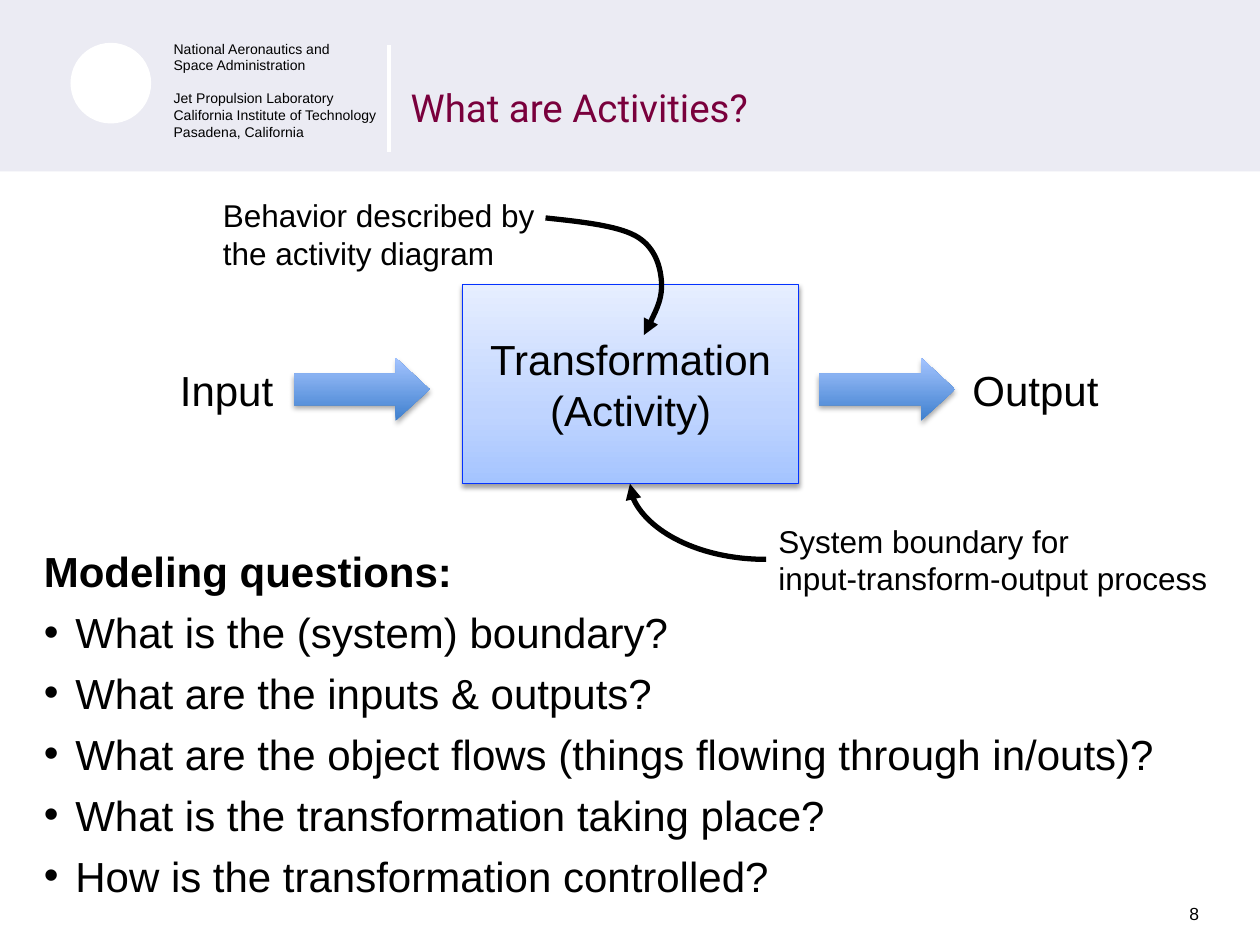
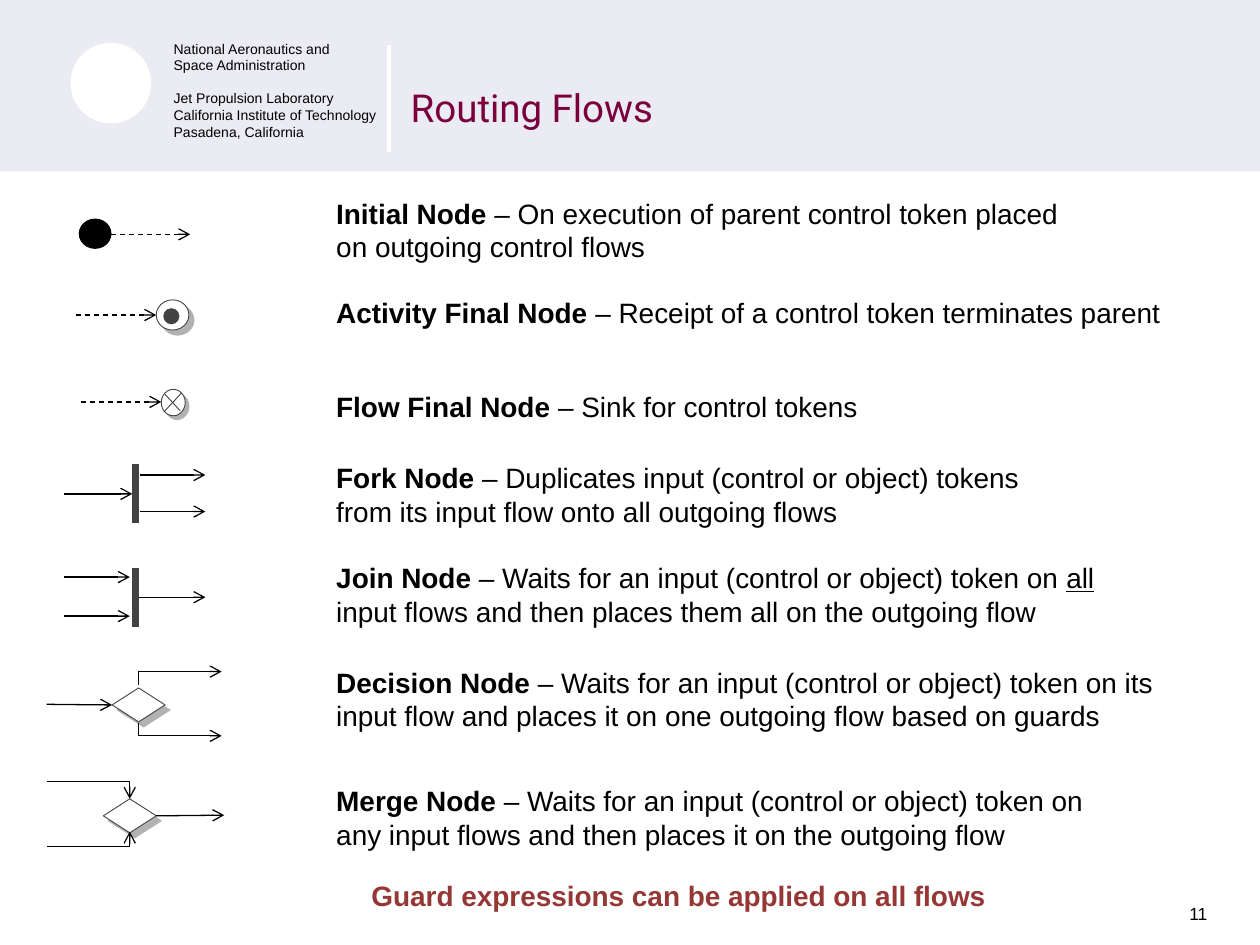
"""Builds two slides about activity diagrams: what activities are, and how flows are routed."""
from dataclasses import dataclass
from typing import Any, Optional, Sequence

from lxml import etree
from pptx import Presentation
from pptx.dml.color import RGBColor
from pptx.enum.dml import MSO_LINE
from pptx.enum.shapes import MSO_CONNECTOR, MSO_SHAPE
from pptx.enum.text import MSO_ANCHOR, MSO_AUTO_SIZE, PP_ALIGN
from pptx.oxml.ns import qn
from pptx.util import Inches, Pt

RECTANGLE, ELLIPSE, DIAMOND = MSO_SHAPE.RECTANGLE, MSO_SHAPE.OVAL, MSO_SHAPE.DIAMOND
RIGHT_ARROW = MSO_SHAPE.RIGHT_ARROW
STRAIGHT, CURVE = MSO_CONNECTOR.STRAIGHT, MSO_CONNECTOR.CURVE
DASH = MSO_LINE.DASH
LEFT, CENTER, MIDDLE = PP_ALIGN.LEFT, PP_ALIGN.CENTER, MSO_ANCHOR.MIDDLE
GROW = MSO_AUTO_SIZE.SHAPE_TO_FIT_TEXT
LEFT_SIDE, RIGHT_SIDE = 1, 3
TITLE_ONLY = 5

COLORS = {
    "band": "EBEBF3", "white": "FFFFFF", "black": "000000", "title": "79003C",
    "outline": "0432FF", "node": "424242", "shade": "B2B2B2", "guard": "953735",
}
BOX_STOPS = ((0, "A4C4FF"), (35, "BFD4FF"), (100, "E6EEFF"))
ARROW_STOPS = ((0, "3F80CE"), (100, "A4C4FF"))
BODY_FONT, TITLE_FONT = "Arial", "Roboto"
LOCKUP = (
    "National Aeronautics and", "Space Administration", "Jet Propulsion Laboratory",
    "California Institute of Technology", "Pasadena, California",
)
QUESTIONS = (
    "Modeling questions:",
    "What is the (system) boundary?",
    "What are the inputs & outputs?",
    "What are the object flows (things flowing through in/outs)?",
    "What is the transformation taking place?",
    "How is the transformation controlled?",
)

Point = tuple[float, float]


@dataclass(frozen=True)
class Label:
    """A text box of one size and colour."""
    left: float
    top: float
    width: float
    height: float
    lines: Sequence[str]
    size: float
    color: str = "black"
    bold: bool = False
    wrap: bool = True


@dataclass(frozen=True)
class NodeText:
    """The name and meaning of a node, with an optional underlined word."""
    top: float
    width: float
    height: float
    name: str
    meaning: str
    stressed: str = ""
    ending: str = ""


LABELS = (
    Label(1.33, 2.84, 0.94, 0.5, ("Input",), 24, wrap=False),
    Label(7.62, 2.84, 1.2, 0.5, ("Output",), 24, wrap=False),
    Label(1.67, 1.51, 2.99, 0.71, ("Behavior described by the activity diagram",), 18),
    Label(6.08, 4.09, 3.67, 0.7, ("System boundary for\ninput-transform-output process",), 18),
)
NODE_TEXTS = (
    NodeText(1.51, 6.01, 0.64, "Initial Node",
             " – On execution of parent control token placed on outgoing control flows"),
    NodeText(2.3, 6.84, 0.37, "Activity Final Node",
             " – Receipt of a control token terminates parent"),
    NodeText(3.04, 6.01, 0.37, "Flow Final Node", " – Sink for control tokens"),
    NodeText(3.61, 6.01, 0.64, "Fork Node",
             " – Duplicates input (control or object) tokens from its input flow "
             "onto all outgoing flows"),
    NodeText(4.4, 6.48, 0.64, "Join Node",
             " – Waits for an input (control or object) token on ", "all",
             " input flows and then places them all on the outgoing flow"),
    NodeText(5.23, 6.79, 0.64, "Decision Node",
             " – Waits for an input (control or object) token on its input flow "
             "and places it on one outgoing flow based on guards"),
    NodeText(6.17, 6.48, 0.64, "Merge Node",
             " – Waits for an input (control or object) token on any input flows "
             "and then places it on the outgoing flow"),
)


def rgb(name: str) -> RGBColor:
    """Return a named colour."""
    return RGBColor.from_string(COLORS[name])


def style_font(font: Any, size: float, color: str = "black", bold: bool = False,
               face: str = BODY_FONT) -> None:
    """Format a run's font."""
    font.name, font.size, font.bold = face, Pt(size), bold
    font.color.rgb = rgb(color)


def add_text_box(page: Any, left: float, top: float, width: float, height: float,
                 wrap: bool = True) -> Any:
    """Add an empty text box that grows with its text."""
    box = page.shapes.add_textbox(Inches(left), Inches(top), Inches(width), Inches(height))
    box.text_frame.word_wrap = wrap
    box.text_frame.auto_size = GROW
    return box


def add_label(page: Any, label: Label) -> Any:
    """Add a text box with one paragraph per line of the label."""
    box = add_text_box(page, label.left, label.top, label.width, label.height, label.wrap)
    frame = box.text_frame
    for index, line in enumerate(label.lines):
        para = frame.add_paragraph() if index else frame.paragraphs[0]
        para.text = line
        for span in para.runs:
            style_font(span.font, label.size, label.color, label.bold)
    return box


def add_figure(page: Any, kind: Any, left: float, top: float, width: float, height: float,
               fill: Optional[str] = None, line: Optional[str] = None,
               weight: float = 0.5) -> Any:
    """Add a preset shape without a shadow."""
    shape = page.shapes.add_shape(kind, Inches(left), Inches(top), Inches(width), Inches(height))
    shape.shadow.inherit = False
    if fill:
        shape.fill.solid()
        shape.fill.fore_color.rgb = rgb(fill)
    if line:
        shape.line.color.rgb = rgb(line)
        shape.line.width = Pt(weight)
    else:
        shape.line.fill.background()
    return shape


def add_glow(shape: Any, stops: Sequence[tuple[int, str]], distance: float, alpha: int) -> None:
    """Give a shape an upward gradient and a soft shadow below it."""
    shape.fill.gradient()
    shape.fill.gradient_angle = 90
    stop_list = shape.element.find(".//" + qn("a:gsLst"))
    stop_list.clear()
    for position, value in stops:
        stop = etree.SubElement(stop_list, qn("a:gs"), pos=str(position * 1000))
        etree.SubElement(stop, qn("a:srgbClr"), val=value)
    effects = shape.element.find(".//" + qn("a:effectLst"))
    shadow = etree.SubElement(effects, qn("a:outerShdw"), blurRad=str(Pt(3.1)),
                              dist=str(Pt(distance)), dir="5400000", rotWithShape="0")
    color = etree.SubElement(shadow, qn("a:srgbClr"), val=COLORS["black"])
    etree.SubElement(color, qn("a:alpha"), val=str(alpha * 1000))


def style_line(shape: Any, color: str, weight: float, head: str = "", tail: str = "") -> None:
    """Set line colour and width, and arrowheads at its start and end."""
    shape.line.color.rgb = rgb(color)
    shape.line.width = Pt(weight)
    stroke = shape.element.find(".//" + qn("a:ln"))
    for tag, arrow in (("a:headEnd", head), ("a:tailEnd", tail)):
        if arrow:
            etree.SubElement(stroke, qn(tag), type=arrow)


def add_line(page: Any, start: Point, end: Point, color: str = "black", weight: float = 0.75,
             tail: str = "", kind: Any = STRAIGHT) -> Any:
    """Add a connector without a shadow."""
    line = page.shapes.add_connector(kind, *map(Inches, start + end))
    style_line(line, color, weight, tail=tail)
    etree.SubElement(line.element.spPr, qn("a:effectLst"))
    return line


def add_flow(page: Any, left: float, right: float, y: float, dashed: bool = False) -> Any:
    """Add a level flow arrow that points right."""
    flow = add_line(page, (left, y), (right, y), tail="arrow")
    if dashed:
        flow.line.dash_style = DASH
    return flow


def add_path(page: Any, points: Sequence[Point], weight: float = 0.75,
             head: str = "", tail: str = "") -> Any:
    """Add an open, unfilled path through the points."""
    places = [(Inches(x), Inches(y)) for x, y in points]
    builder = page.shapes.build_freeform(*places[0], scale=1.0)
    builder.add_line_segments(places[1:], close=False)
    path = builder.convert_to_shape()
    path.shadow.inherit = False
    path.fill.background()
    style_line(path, "black", weight, head, tail)
    return path


def add_curved_path(page: Any, points: Sequence[Point], weight: float, tail: str) -> None:
    """Add a path whose points after the first form cubic segments."""
    shape = add_path(page, points, weight, tail=tail)
    path = shape.element.find(".//" + qn("a:path"))
    steps = path.findall(qn("a:lnTo"))
    for first in range(0, len(steps), 3):
        curve = etree.SubElement(path, qn("a:cubicBezTo"))
        for step in steps[first:first + 3]:
            curve.append(step[0])
            path.remove(step)


def add_page(deck: Any, title: str, number: int) -> Any:
    """Add a slide with the shared band, lockup, title and number."""
    page = deck.slides.add_slide(deck.slide_layouts[TITLE_ONLY])
    add_figure(page, RECTANGLE, 0, -0.02, 10, 1.38, "band")
    add_figure(page, ELLIPSE, 0.56, 0.34, 0.64, 0.64, "white")
    add_line(page, (3.09, 0.36), (3.09, 1.21), "white", 2.25)
    lockup = add_label(page, Label(1.28, 0.27, 1.83, 0.9, LOCKUP, 8, wrap=False))
    lockup.text_frame.paragraphs[2].space_before = Pt(9.2)
    add_label(page, Label(9.34, 7.12, 0.49, 0.27, (str(number),), 10))
    heading = page.shapes.title
    heading.element.getparent().append(heading.element)
    heading.left, heading.top = Inches(3.16), Inches(0.25)
    heading.width, heading.height = Inches(6.1), Inches(1.25)
    heading.text_frame.text = title
    heading.text_frame.vertical_anchor = MIDDLE
    para = heading.text_frame.paragraphs[0]
    para.alignment, para.line_spacing = LEFT, 0.9
    style_font(para.runs[0].font, 22, "title", face=TITLE_FONT)
    return page


def add_questions(page: Any) -> None:
    """Add the bold heading and its bulleted questions."""
    box = add_label(page, Label(0.25, 4.28, 9.5, 2.95, QUESTIONS, 24))
    heading, *items = box.text_frame.paragraphs
    heading.runs[0].font.bold = True
    for item in items:
        item.space_before = Pt(6)
        properties = item._p.get_or_add_pPr()
        properties.set("marL", str(Inches(0.25)))
        properties.set("indent", str(Inches(-0.25)))
        etree.SubElement(properties, qn("a:buFont"), typeface=BODY_FONT)
        etree.SubElement(properties, qn("a:buChar"), char="•")


def build_activities(deck: Any) -> None:
    """Build the slide that explains an activity as a transformation."""
    page = add_page(deck, "What are Activities?", 8)
    activity = add_figure(page, RECTANGLE, 3.67, 2.26, 2.67, 1.58, line="outline", weight=0.75)
    add_glow(activity, BOX_STOPS, 1.6, 38)
    activity.text_frame.word_wrap = False
    activity.text_frame.vertical_anchor = MIDDLE
    para = activity.text_frame.paragraphs[0]
    para.text = "Transformation\n(Activity)"
    para.alignment = CENTER
    for span in para.runs:
        style_font(span.font, 24)
    for left in (2.33, 6.5):
        arrow = add_figure(page, RIGHT_ARROW, left, 2.84, 1.08, 0.5)
        arrow.adjustments[1] = 0.54
        add_glow(arrow, ARROW_STOPS, 1.8, 35)
    for label in LABELS:
        add_label(page, label)
    add_curved_path(page, ((4.33, 1.73), (4.61, 1.76), (4.89, 1.79), (5.04, 1.87),
                           (5.19, 1.95), (5.24, 2.1), (5.25, 2.23),
                           (5.26, 2.36), (5.19, 2.51), (5.11, 2.66)), 3, "triangle")
    boundary = add_line(page, (6.08, 4.44), (5, 3.84), weight=3, tail="triangle", kind=CURVE)
    boundary.element.find(".//" + qn("a:prstGeom")).set("prst", "curvedConnector2")
    add_questions(page)


def add_raised(page: Any, kind: Any, left: float, top: float, width: float, height: float,
               offset: float = 0.04) -> Any:
    """Add a white node over its grey offset copy."""
    add_figure(page, kind, left + offset, top + offset, width, height, "shade", "shade")
    return add_figure(page, kind, left, top, width, height, "white", "node")


def add_bar_node(page: Any, top: float, inputs: Sequence[float],
                 outputs: Sequence[float]) -> None:
    """Add a fork or join bar; a lone flow is joined to the bar's side."""
    bar = add_figure(page, RECTANGLE, 1.05, top, 0.05, 0.46, "node", "node")
    arrivals = [add_flow(page, 0.51, 1.03, y) for y in inputs]
    departures = [add_flow(page, 1.11, 1.63, y) for y in outputs]
    if len(arrivals) == 1:
        arrivals[0].end_connect(bar, LEFT_SIDE)
    if len(departures) == 1:
        departures[0].begin_connect(bar, RIGHT_SIDE)


def add_node_text(page: Any, node: NodeText) -> None:
    """Add a bold node name followed by its meaning."""
    para = add_text_box(page, 2.57, node.top, node.width, node.height).text_frame.paragraphs[0]
    for text in filter(None, (node.name, node.meaning, node.stressed, node.ending)):
        span = para.add_run()
        span.text = text
        style_font(span.font, 16, bold=text == node.name)
        span.font.underline = text == node.stressed


def build_routing(deck: Any) -> None:
    """Build the slide that lists the control nodes."""
    page = add_page(deck, "Routing Flows", 11)
    add_figure(page, ELLIPSE, 0.63, 1.74, 0.25, 0.23, "black", "black", 0.75)
    add_flow(page, 0.88, 1.51, 1.86, dashed=True)
    add_raised(page, ELLIPSE, 1.24, 2.38, 0.26, 0.24)
    add_figure(page, ELLIPSE, 1.3, 2.45, 0.12, 0.12, "node", "node")
    add_flow(page, 0.6, 1.24, 2.5, dashed=True)
    add_raised(page, ELLIPSE, 1.28, 3.09, 0.19, 0.21, 0.03)
    add_line(page, (1.31, 3.13), (1.43, 3.26), "node", 0.5)
    add_line(page, (1.44, 3.12), (1.3, 3.27), "node", 0.5)
    add_flow(page, 0.64, 1.28, 3.19, dashed=True)
    add_bar_node(page, 3.69, (3.92,), (3.77, 4.06))
    add_bar_node(page, 4.51, (4.58, 4.89), (4.74,))
    decision = add_raised(page, DIAMOND, 0.89, 5.46, 0.42, 0.27)
    add_flow(page, 0.37, 0.89, 5.59).end_connect(decision, LEFT_SIDE)
    for start, turn in ((5.44, 5.33), (5.74, 5.84)):
        add_path(page, ((1.1, start), (1.1, turn), (1.76, turn)), tail="arrow")
    merge = add_raised(page, DIAMOND, 0.82, 6.34, 0.42, 0.27)
    add_flow(page, 1.25, 1.78, 6.47).begin_connect(merge, RIGHT_SIDE)
    for end, turn in ((6.34, 6.2), (6.6, 6.72)):
        add_path(page, ((1.03, end), (1.03, turn), (0.37, turn)), head="arrow")
    for node in NODE_TEXTS:
        add_node_text(page, node)
    add_label(page, Label(2.85, 6.92, 5.1, 0.37,
                          ("Guard expressions can be applied on all flows",),
                          16, "guard", True, False))


def main() -> None:
    """Build and save the deck."""
    deck = Presentation()
    deck.slide_width, deck.slide_height = Inches(10), Inches(7.5)
    build_activities(deck)
    build_routing(deck)
    deck.save("out.pptx")


if __name__ == "__main__":
    main()
